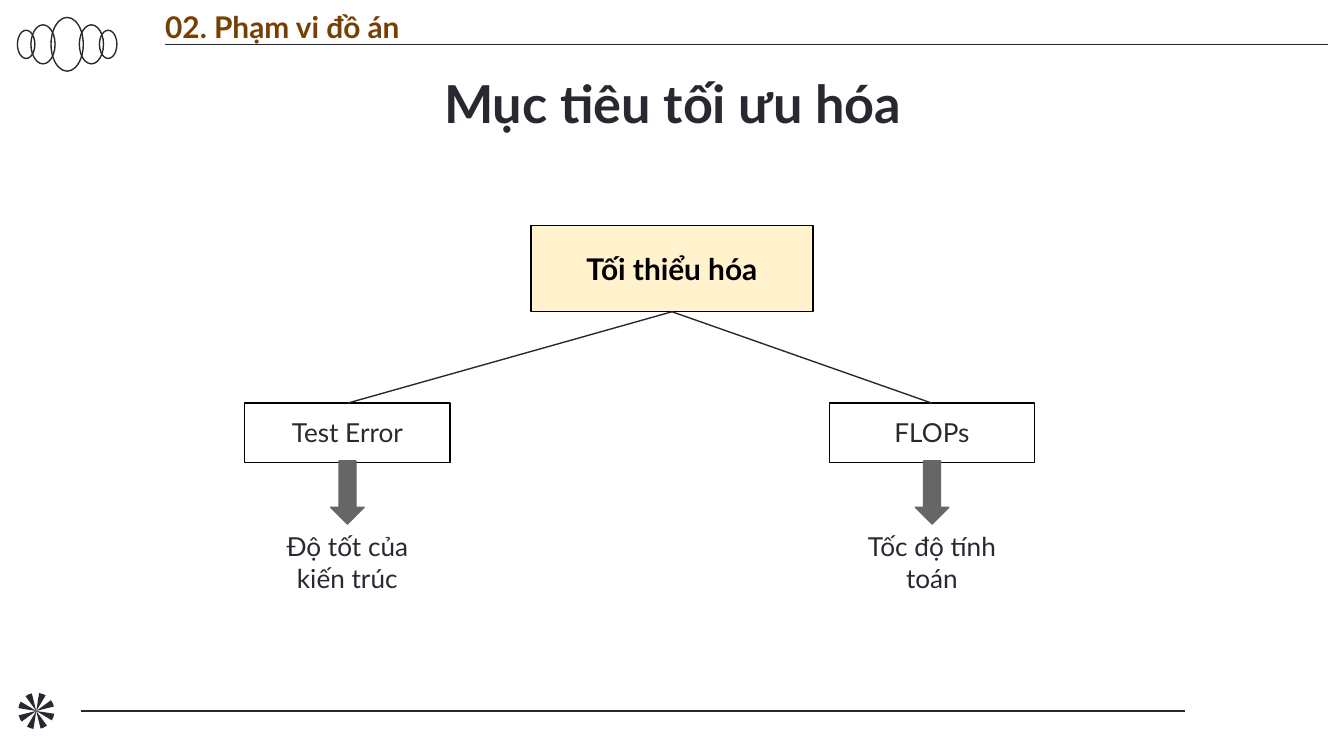
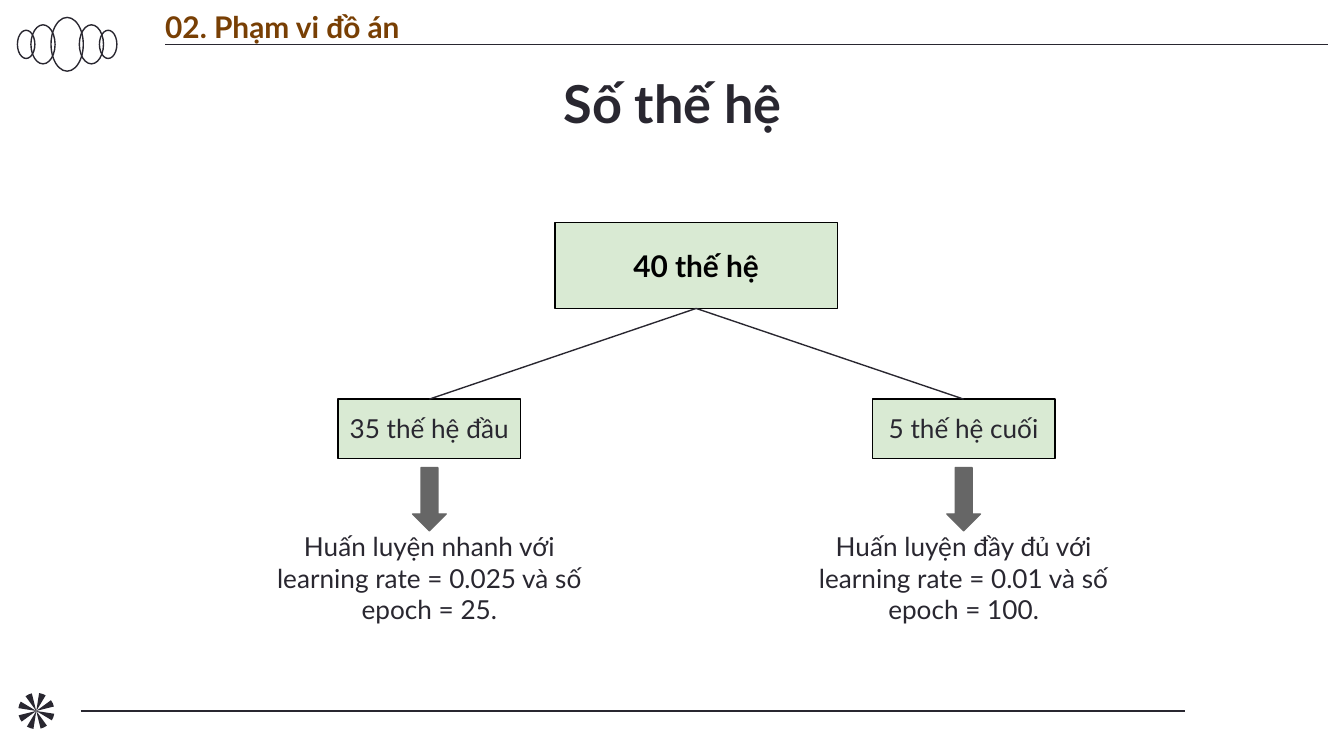
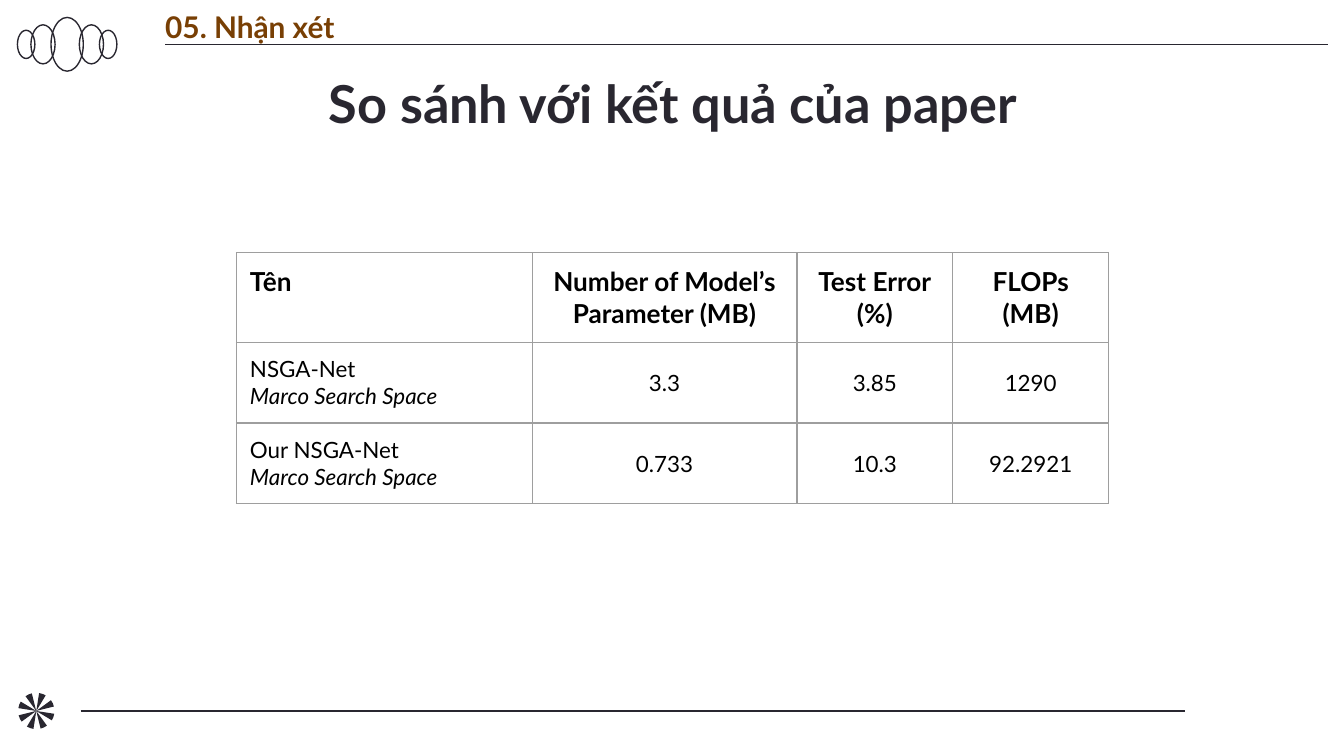
"""Build three slides on optimisation goals, generations and results."""
from dataclasses import dataclass
from math import cos, radians, sin
from typing import NamedTuple, Optional

from lxml.etree import SubElement
from pptx import Presentation
from pptx.dml.color import RGBColor
from pptx.enum.shapes import MSO_CONNECTOR, MSO_SHAPE, PP_PLACEHOLDER
from pptx.enum.text import MSO_ANCHOR, MSO_AUTO_SIZE, PP_ALIGN
from pptx.oxml.ns import qn
from pptx.util import Emu, Pt

PX = 4572
FONT = "Lato"
INK = RGBColor(0x29, 0x27, 0x30)
BLACK = RGBColor(0x00, 0x00, 0x00)
BROWN = RGBColor(0x78, 0x3F, 0x04)
CREAM = RGBColor(0xFF, 0xF2, 0xCC)
GREEN = RGBColor(0xD9, 0xEA, 0xD3)
ARROW_GRAY = RGBColor(0x66, 0x66, 0x66)
BORDER_GRAY = RGBColor(0x9E, 0x9E, 0x9E)
HAIRLINE = Pt(0.75)

ROOT_W, ROOT_H, LEAF_H = 420, 128, 88
ARROW_W, ARROW_H = 94, 50
PAD = 20


class Box(NamedTuple):
    """Left, top, width and height in px."""

    x: int
    y: int
    w: int
    h: int

    def emu(self) -> tuple:
        """Return the box in EMU."""
        return tuple(px(v) for v in self)


class Style(NamedTuple):
    """Look of a paragraph."""

    size: int
    color: RGBColor = INK
    bold: bool = False
    italic: bool = False
    align: PP_ALIGN = PP_ALIGN.CENTER
    after: int = 0


class Branch(NamedTuple):
    """One leaf of a tree with the note below it."""

    cx: int
    label: str
    note: str


@dataclass(frozen=True)
class Tree:
    """A root box split into branches."""

    root: str
    root_x: int
    root_y: int
    root_fill: RGBColor
    leaf_y: int
    leaf_w: int
    leaf_fill: Optional[RGBColor]
    arrow_cy: int
    note_y: int
    note_w: int
    note_h: int
    note_pad: int
    branches: tuple


TITLE = Style(28, bold=True)
SECTION = Style(16, BROWN, bold=True, align=PP_ALIGN.LEFT)
ROOT = Style(16, BLACK, bold=True)
BODY = Style(14, after=10)
HEAD = Style(14, BLACK, bold=True)
VALUE = Style(12, BLACK)

GOALS = Tree(
    "Tối thiểu hóa", 790, 336, CREAM, 600, 306, None, 733, 770, 226, 134, PAD,
    (Branch(517, "Test Error", "Độ tốt của kiến trúc"),
     Branch(1387, "FLOPs", "Tốc độ tính toán")),
)
GENERATIONS = Tree(
    "40 thế hệ", 826, 331, GREEN, 594, 272, GREEN, 743, 790, 518, 142, 0,
    (Branch(639, "35 thế hệ đầu",
            "Huấn luyện nhanh với learning rate = 0.025 và số epoch = 25."),
     Branch(1434, "5 thế hệ cuối",
            "Huấn luyện đầy đủ với learning rate = 0.01 và số epoch = 100.")),
)
COL_WIDTHS = (440, 394, 232, 232)
ROW_H = 84
RESULTS = (
    ("Tên", "Number of Model’s Parameter (MB)", "Test Error\n(%)", "FLOPs\n(MB)"),
    ("NSGA-Net\nMarco Search Space", "3.3", "3.85", "1290"),
    ("Our NSGA-Net\nMarco Search Space", "0.733", "10.3", "92.2921"),
)


def px(n: float) -> Emu:
    """Turn px into EMU."""
    return Emu(round(n * PX))


def format_paragraph(p, style: Style) -> None:
    """Apply a style to a paragraph."""
    p.alignment = style.align
    if style.after:
        p.space_after = Pt(style.after)
    f = p.font
    f.name, f.size = FONT, Pt(style.size)
    f.bold, f.italic = style.bold, style.italic
    f.color.rgb = style.color


def write(sp, text: str, style: Style, insets: tuple = (PAD,) * 4,
          anchor: MSO_ANCHOR = MSO_ANCHOR.TOP, grow: bool = False) -> None:
    """Put one styled paragraph into a shape."""
    tf = sp.text_frame
    tf.text = text
    tf.word_wrap = True
    tf.auto_size = MSO_AUTO_SIZE.SHAPE_TO_FIT_TEXT if grow else MSO_AUTO_SIZE.NONE
    tf.vertical_anchor = anchor
    tf.margin_left, tf.margin_top, tf.margin_right, tf.margin_bottom = map(px, insets)
    format_paragraph(tf.paragraphs[0], style)


def paint(sp, fill: Optional[RGBColor], line: Optional[RGBColor]) -> None:
    """Set fill and outline and drop the shadow."""
    sp.shadow.inherit = False
    if fill is None:
        sp.fill.background()
    else:
        sp.fill.solid()
        sp.fill.fore_color.rgb = fill
    if line is None:
        sp.line.fill.background()
    else:
        sp.line.color.rgb = line
        sp.line.width = HAIRLINE


def add_preset(shapes, kind: MSO_SHAPE, box: Box, fill: Optional[RGBColor],
               line: Optional[RGBColor]):
    """Add a painted preset shape."""
    sp = shapes.add_shape(kind, *box.emu())
    paint(sp, fill, line)
    return sp


def add_line(shapes, x1: int, y1: int, x2: int, y2: int):
    """Add a thin straight line."""
    cxn = shapes.add_connector(MSO_CONNECTOR.STRAIGHT, px(x1), px(y1), px(x2), px(y2))
    cxn.line.color.rgb = INK
    cxn.line.width = HAIRLINE
    SubElement(cxn.element.spPr, qn("a:effectLst"))
    return cxn


def add_rings(shapes):
    """Add the row of overlapping ellipses."""
    group = shapes.add_group_shape()
    for dx, w, h in ((-61, 26, 42), (-36, 36, 58), (0, 48, 80), (36, 36, 58), (61, 26, 42)):
        box = Box(100 + dx - w // 2, 66 - h // 2, w, h)
        add_preset(group.shapes, MSO_SHAPE.OVAL, box, None, INK)
    return group


def add_wheel(shapes, cx: int, cy: int, radius: int):
    """Add the wheel of eight wedges."""
    group = shapes.add_group_shape()
    for start in range(9, 369, 45):
        arc = [(px(cx + radius * cos(radians(a))), px(cy + radius * sin(radians(a))))
               for a in range(start, start + 23, 11)]
        builder = group.shapes.build_freeform(px(cx), px(cy))
        builder.add_line_segments(arc)
        paint(builder.convert_to_shape(), INK, None)
    return group


def decorate_layout(layout, s) -> None:
    """Give the layout its rings, rules and wheel."""
    for ph in list(layout.placeholders):
        if ph.placeholder_format.type != PP_PLACEHOLDER.TITLE:
            ph.element.getparent().remove(ph.element)
    parts = (
        add_rings(s.shapes),
        add_line(s.shapes, 1976, 66, 246, 66),
        add_line(s.shapes, 120, 1058, 1764, 1058),
        add_wheel(s.shapes, 54, 1058, 27),
    )
    for part in parts:
        layout.shapes.element.append(part.element)


def add_headings(s, section: str, title: str) -> None:
    """Write the section name and the title."""
    sp = s.shapes.add_textbox(*Box(246, 12, 1552, 54).emu())
    write(sp, section, SECTION, (0, PAD, PAD, PAD), MSO_ANCHOR.MIDDLE)
    sp = s.shapes.title
    sp.left, sp.top, sp.width, sp.height = Box(156, 86, 1690, 128).emu()
    write(sp, title, TITLE)


def add_tree(s, tree: Tree) -> None:
    """Draw a root box, its branches and their notes."""
    box = Box(tree.root_x, tree.root_y, ROOT_W, ROOT_H)
    root = add_preset(s.shapes, MSO_SHAPE.RECTANGLE, box, tree.root_fill, BLACK)
    write(root, tree.root, ROOT, anchor=MSO_ANCHOR.MIDDLE)
    for b in tree.branches:
        box = Box(b.cx - tree.leaf_w // 2, tree.leaf_y, tree.leaf_w, LEAF_H)
        leaf = add_preset(s.shapes, MSO_SHAPE.RECTANGLE, box, tree.leaf_fill, BLACK)
        write(leaf, b.label, BODY, (0, PAD, 0, PAD), grow=True)
        cxn = add_line(s.shapes, tree.root_x + ROOT_W // 2, tree.root_y + ROOT_H,
                       b.cx, tree.leaf_y)
        cxn.begin_connect(root, 2)
        cxn.end_connect(leaf, 0)
        box = Box(b.cx - tree.note_w // 2, tree.note_y, tree.note_w, tree.note_h)
        note = s.shapes.add_textbox(*box.emu())
        write(note, b.note, BODY, (0, tree.note_pad, 0, tree.note_pad), grow=True)
        box = Box(b.cx - ARROW_W // 2, tree.arrow_cy - ARROW_H // 2, ARROW_W, ARROW_H)
        arrow = add_preset(s.shapes, MSO_SHAPE.RIGHT_ARROW, box, ARROW_GRAY, ARROW_GRAY)
        arrow.rotation = 90


def add_borders(cell) -> None:
    """Draw a gray line on each side of a cell."""
    tc_pr = cell._tc.get_or_add_tcPr()
    for side in ("lnL", "lnR", "lnT", "lnB"):
        ln = SubElement(tc_pr, qn(f"a:{side}"), w=str(HAIRLINE))
        fill = SubElement(ln, qn("a:solidFill"))
        SubElement(fill, qn("a:srgbClr"), val=str(BORDER_GRAY))


def add_results(s) -> None:
    """Add the table of results."""
    box = Box(352, 376, sum(COL_WIDTHS), ROW_H * len(RESULTS))
    table = s.shapes.add_table(len(RESULTS), len(COL_WIDTHS), *box.emu()).table
    table.first_row = table.horz_banding = False
    for col, w in zip(table.columns, COL_WIDTHS):
        col.width = px(w)
    for i, row in enumerate(RESULTS):
        for j, text in enumerate(row):
            cell = table.cell(i, j)
            cell.text = text
            cell.margin_left = cell.margin_right = px(PAD)
            cell.margin_top = cell.margin_bottom = px(PAD)
            if i and j:
                cell.vertical_anchor = MSO_ANCHOR.MIDDLE
            add_borders(cell)
            cell.fill.background()
            style = VALUE if i else HEAD
            if j == 0:
                style = style._replace(align=PP_ALIGN.LEFT)
            for k, p in enumerate(cell.text_frame.paragraphs):
                format_paragraph(p, style._replace(italic=bool(i and k)))


def main() -> None:
    """Build and save the slides."""
    prs = Presentation()
    prs.slide_width, prs.slide_height = px(2000), px(1125)
    layout = prs.slide_layouts.get_by_name("Title Only")
    goals, generations, results = (prs.slides.add_slide(layout) for _ in range(3))
    decorate_layout(layout, goals)

    add_headings(goals, "02. Phạm vi đồ án", "Mục tiêu tối ưu hóa")
    add_tree(goals, GOALS)

    add_headings(generations, "02. Phạm vi đồ án", "Số thế hệ")
    add_tree(generations, GENERATIONS)

    add_headings(results, "05. Nhận xét", "So sánh với kết quả của paper")
    add_results(results)

    prs.save("out.pptx")


if __name__ == "__main__":
    main()
